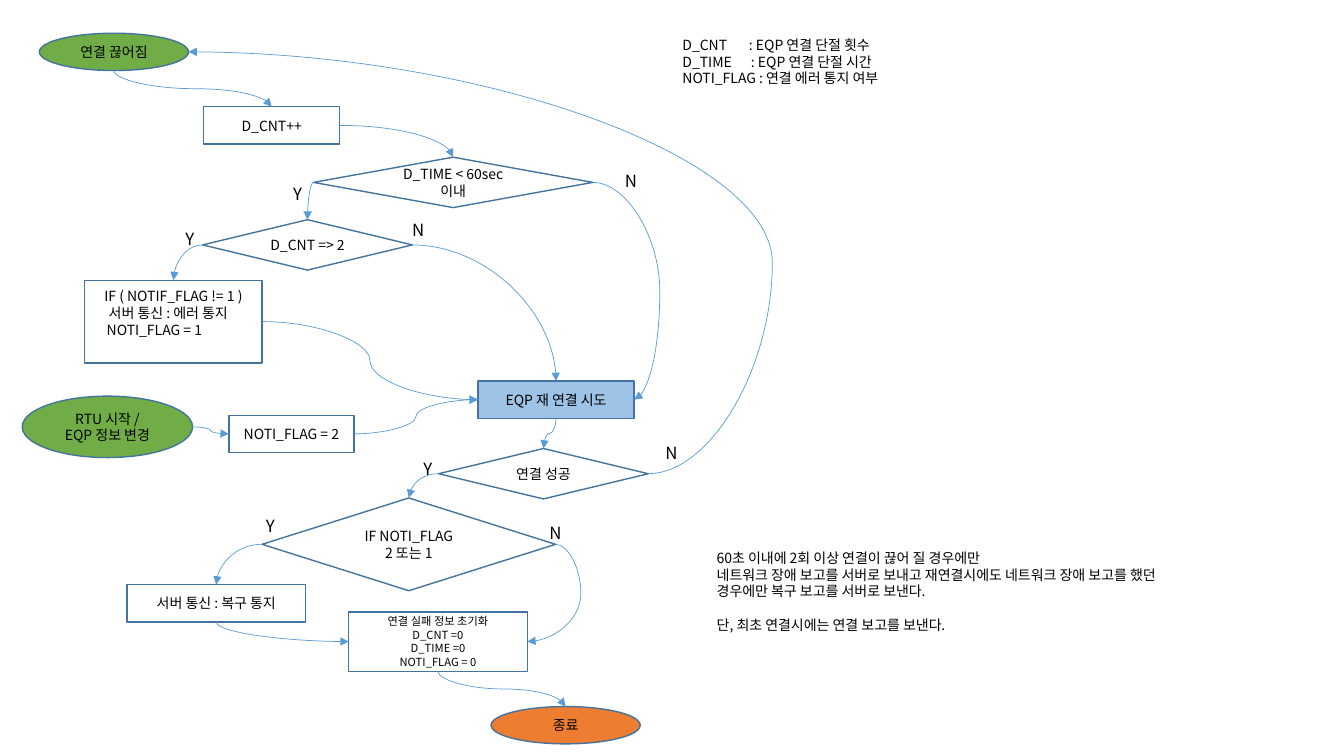
"""Build the reconnect and error notification flowchart slide."""
from dataclasses import dataclass
from enum import IntEnum
from typing import Optional

from lxml.etree import SubElement
from pptx import Presentation
from pptx.dml.color import RGBColor
from pptx.enum.shapes import MSO_CONNECTOR, MSO_SHAPE
from pptx.enum.text import MSO_ANCHOR, MSO_AUTO_SIZE, PP_ALIGN
from pptx.oxml.ns import qn
from pptx.shapes.autoshape import Shape
from pptx.shapes.shapetree import SlideShapes
from pptx.text.text import TextFrame
from pptx.util import Inches, Pt


@dataclass(frozen=True)
class Theme:
    font: str = "Noto Sans CJK KR"
    ink: RGBColor = RGBColor(0x00, 0x00, 0x00)
    outline: RGBColor = RGBColor(0x43, 0x73, 0x9E)
    arrow: RGBColor = RGBColor(0x5B, 0x9B, 0xD5)
    entry: RGBColor = RGBColor(0x70, 0xAD, 0x47)
    retry: RGBColor = RGBColor(0x9D, 0xC3, 0xE6)
    finish: RGBColor = RGBColor(0xED, 0x7D, 0x31)
    body: float = 10
    small: float = 8
    branch: float = 12
    outline_width: float = 1
    arrow_width: float = 0.5


class Side(IntEnum):
    TOP = 0
    LEFT = 1
    BOTTOM = 2
    RIGHT = 3


@dataclass(frozen=True)
class Line:
    text: str
    align: PP_ALIGN = PP_ALIGN.LEFT
    indent: float = 0
    tab: float = 0
    before: float = 0


@dataclass(frozen=True)
class Step:
    key: str
    kind: MSO_SHAPE
    box: tuple[float, float, float, float]
    lines: list[Line]
    fill: Optional[RGBColor] = None
    size: float = Theme.body
    bottom_inset: float = 0.05


@dataclass(frozen=True)
class Caption:
    box: tuple[float, float, float, float]
    lines: list[Line]
    size: float = Theme.body


@dataclass(frozen=True)
class Flow:
    source: str
    leaves: Side
    target: str
    enters: Side
    bend: Optional[float] = None


def centred(*texts: str) -> list[Line]:
    """Return centred lines."""
    return [Line(text, PP_ALIGN.CENTER) for text in texts]


def branch(text: str, left: float, top: float) -> Caption:
    """Return a yes or no label for a decision."""
    return Caption((left, top, 0.3 if text == "Y" else 0.33, 0.3), [Line(text)], THEME.branch)


THEME = Theme()
RECT, DIAMOND, OVAL = MSO_SHAPE.RECTANGLE, MSO_SHAPE.DIAMOND, MSO_SHAPE.OVAL
TOP, LEFT, BOTTOM, RIGHT = Side

STEPS = [
    Step("count", RECT, (2.02, 1.06, 1.35, 0.37), centred("D_CNT++")),
    Step("in_time", DIAMOND, (3.11, 1.56, 2.77, 0.5), centred("D_TIME < 60sec 이내")),
    Step("twice", DIAMOND, (2.01, 2.18, 2.08, 0.5), centred("D_CNT => 2")),
    Step("retry", RECT, (4.74, 3.78, 1.55, 0.37), centred("EQP 재 연결 시도"), THEME.retry),
    Step("connected", DIAMOND, (4.35, 4.45, 2.08, 0.5), centred("연결 성공")),
    Step("reset", RECT, (3.46, 6.07, 1.77, 0.59),
         centred("연결 실패 정보 초기화", "D_CNT =0", "D_TIME =0", "NOTI_FLAG = 0"),
         size=THEME.small),
    Step("report_error", RECT, (0.84, 2.78, 1.76, 0.82),
         [*centred("IF ( NOTIF_FLAG != 1 )"), Line("서버 통신 : 에러 통지", indent=0.14),
          Line("NOTI_FLAG = 1", indent=0.12)], bottom_inset=0.22),
    Step("lost", OVAL, (0.39, 0.33, 1.48, 0.37), centred("연결 끊어짐"), THEME.entry),
    Step("flagged", DIAMOND, (2.6, 4.94, 2.91, 0.92), centred("IF NOTI_FLAG", "2 또는 1")),
    Step("report_recovery", RECT, (1.26, 5.8, 1.77, 0.37), centred("서버 통신 : 복구 통지")),
    Step("end", OVAL, (4.87, 7.01, 1.48, 0.37), centred("종료"), THEME.finish),
    Step("start", OVAL, (0.22, 3.93, 1.69, 0.61), centred("RTU 시작 /", "EQP 정보 변경"), THEME.entry),
    Step("set_flag", RECT, (2.27, 4.12, 1.24, 0.37), centred("NOTI_FLAG = 2")),
]

FLOWS = [
    Flow("lost", BOTTOM, "count", TOP),
    Flow("count", RIGHT, "in_time", TOP),
    Flow("in_time", LEFT, "twice", TOP),
    Flow("twice", RIGHT, "retry", TOP),
    Flow("twice", LEFT, "report_error", TOP),
    Flow("report_error", RIGHT, "retry", LEFT),
    Flow("set_flag", RIGHT, "retry", LEFT),
    Flow("start", RIGHT, "set_flag", LEFT),
    Flow("in_time", RIGHT, "retry", RIGHT, 1.62),
    Flow("connected", RIGHT, "lost", RIGHT, -0.27),
    Flow("retry", BOTTOM, "connected", TOP),
    Flow("connected", LEFT, "flagged", TOP),
    Flow("flagged", LEFT, "report_recovery", TOP),
    Flow("report_recovery", BOTTOM, "reset", LEFT),
    Flow("reset", BOTTOM, "end", TOP),
    Flow("flagged", RIGHT, "reset", RIGHT, -0.9),
]

CAPTIONS = [
    Caption((6.67, 0.31, 2.42, 0.61), [
        Line("D_CNT\t: EQP 연결 단절 횟수", tab=0.66),
        Line("D_TIME\t: EQP 연결 단절 시간", tab=0.68),
        Line("NOTI_FLAG : 연결 에러 통지 여부")]),
    *(branch("Y", *spot) for spot in [(2.81, 1.77), (1.74, 2.22), (4.1, 4.5), (2.54, 5.07)]),
    *(branch("N", *spot) for spot in [(3.99, 2.13), (6.5, 4.34), (5.35, 5.14), (6.1, 1.64)]),
    Caption((7.01, 5.4, 5.18, 0.94), [
        Line("60초 이내에 2회 이상 연결이 끊어 질 경우에만"),
        Line("네트워크 장애 보고를 서버로 보내고 재연결시에도 네트워크 장애 보고를 했던"),
        Line("경우에만 복구 보고를 서버로 보낸다."),
        Line("단, 최초 연결시에는 연결 보고를 보낸다.", before=12)]),
]


def write_lines(frame: TextFrame, lines: list[Line], size: float) -> None:
    """Fill a text frame with styled lines."""
    for index, line in enumerate(lines):
        paragraph = frame.add_paragraph() if index else frame.paragraphs[0]
        paragraph.alignment = line.align
        if line.before:
            paragraph.space_before = Pt(line.before)
        properties = paragraph._p.get_or_add_pPr()
        if line.indent:
            properties.set("marL", str(Inches(line.indent)))
        if line.tab:
            stops = SubElement(properties, qn("a:tabLst"))
            SubElement(stops, qn("a:tab"), pos=str(Inches(line.tab)), algn="l")
        run = paragraph.add_run()
        run.text = line.text
        run.font.size = Pt(size)
        run.font.color.rgb = THEME.ink
        run.font.name = THEME.font
        SubElement(run._r.get_or_add_rPr(), qn("a:ea"), typeface=THEME.font)


def draw_step(shapes: SlideShapes, step: Step) -> Shape:
    """Draw one flowchart step."""
    node = shapes.add_shape(step.kind, *map(Inches, step.box))
    node.shadow.inherit = False
    if step.fill is None:
        node.fill.background()
    else:
        node.fill.solid()
        node.fill.fore_color.rgb = step.fill
    node.line.color.rgb = THEME.outline
    node.line.width = Pt(THEME.outline_width)
    node.text_frame.word_wrap = True
    node.text_frame.vertical_anchor = MSO_ANCHOR.MIDDLE
    node.text_frame.margin_bottom = Inches(step.bottom_inset)
    write_lines(node.text_frame, step.lines, step.size)
    return node


def draw_caption(shapes: SlideShapes, caption: Caption) -> None:
    """Draw unframed text."""
    frame = shapes.add_textbox(*map(Inches, caption.box)).text_frame
    frame.word_wrap = False
    frame.auto_size = MSO_AUTO_SIZE.SHAPE_TO_FIT_TEXT
    write_lines(frame, caption.lines, caption.size)


def port(node: Shape, side: Side) -> tuple[int, int]:
    """Return the midpoint of one side of a step."""
    across, down = {TOP: (1, 0), LEFT: (0, 1), BOTTOM: (1, 2), RIGHT: (2, 1)}[side]
    return node.left + node.width * across // 2, node.top + node.height * down // 2


def draw_flow(shapes: SlideShapes, flow: Flow, nodes: dict[str, Shape]) -> None:
    """Draw a curved arrow glued to two steps."""
    ends = [(nodes[flow.source], flow.leaves), (nodes[flow.target], flow.enters)]
    (x1, y1), (x2, y2) = (port(*end) for end in ends)
    turn = 0
    if flow.leaves is BOTTOM:
        turn = 270 if x2 > x1 else 90
        reach, spread = (y2 - y1) // 2, abs(x2 - x1) // 2
        middle_x, middle_y = (x1 + x2) // 2, (y1 + y2) // 2
        direction = -1 if turn == 270 else 1
        x1, x2 = middle_x - direction * reach, middle_x + direction * reach
        y1, y2 = middle_y - spread, middle_y + spread
    arrow = shapes.add_connector(MSO_CONNECTOR.CURVE, x1, y1, x2, y2)
    arrow.line.color.rgb = THEME.arrow
    arrow.line.width = Pt(THEME.arrow_width)
    properties = arrow.element.spPr
    if turn:
        properties.find(qn("a:xfrm")).set("rot", str(turn * 60000))
    geometry = properties.find(qn("a:prstGeom"))
    if flow.leaves % 2 != flow.enters % 2:
        geometry.set("prst", "curvedConnector2")
    if flow.bend is not None:
        SubElement(geometry.find(qn("a:avLst")), qn("a:gd"), name="adj1",
                   fmla=f"val {round(flow.bend * 100000)}")
    SubElement(properties.find(qn("a:ln")), qn("a:tailEnd"), type="triangle")
    SubElement(properties, qn("a:effectLst"))
    glue = arrow.element.find(".//" + qn("p:cNvCxnSpPr"))
    for tag, (node, side) in zip(("a:stCxn", "a:endCxn"), ends):
        site = side * 2 if node.auto_shape_type == OVAL else side
        SubElement(glue, qn(tag), id=str(node.shape_id), idx=str(int(site)))


def main() -> None:
    """Build and save the slide."""
    deck = Presentation()
    deck.slide_width, deck.slide_height = Inches(13.33), Inches(7.5)
    shapes = deck.slides.add_slide(deck.slide_layouts[6]).shapes
    nodes = {step.key: draw_step(shapes, step) for step in STEPS}
    for caption in CAPTIONS:
        draw_caption(shapes, caption)
    for flow in FLOWS:
        draw_flow(shapes, flow, nodes)
    deck.save("out.pptx")


if __name__ == "__main__":
    main()
